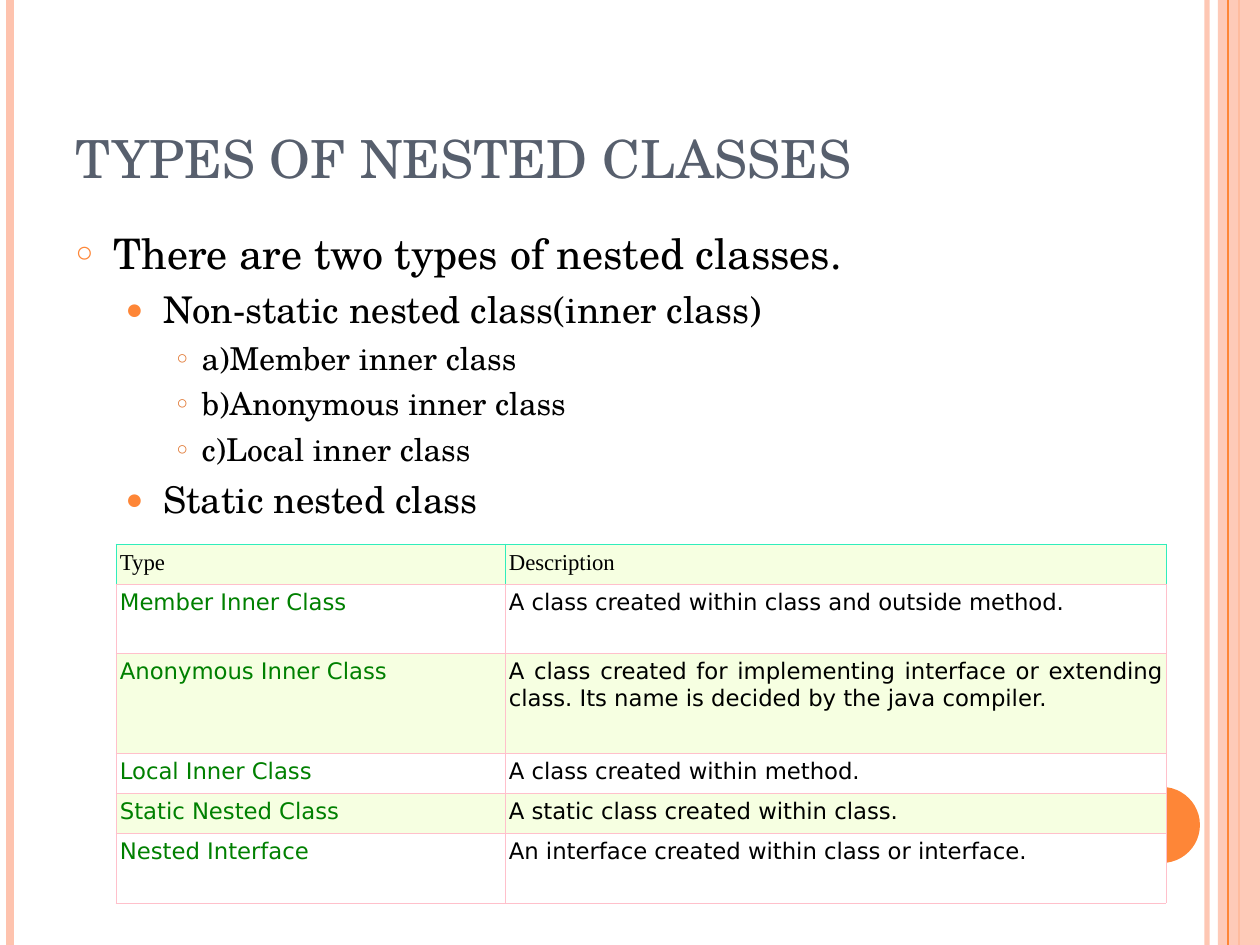
from lxml.etree import SubElement
from pptx import Presentation
from pptx.dml.color import RGBColor
from pptx.enum.shapes import MSO_CONNECTOR, MSO_SHAPE
from pptx.enum.text import MSO_ANCHOR, MSO_AUTO_SIZE, PP_ALIGN
from pptx.oxml import parse_xml
from pptx.oxml.ns import nsdecls, qn
from pptx.util import Emu, Pt

EMU_PER_PX = 914400 / 126
WIDTH, HEIGHT = 1260, 945
ORANGE, PEACH, SLATE = "FE8637", "FEC3AE", "575F6D"
BLACK, WHITE, GREEN = "000000", "FFFFFF", "008000"
LIME, PINK, TEAL = "F6FFE1", "FFC0CB", "30EDBC"
SERIF, SANS, HEADER_FONT = "TeX Gyre Schola", "DejaVu Sans", "Times New Roman"

# level: (size, space before, text left, hanging, bullet, bullet colour, bullet %)
LEVELS = [
    (24, 6, 38, 38, "○", ORANGE, 70),
    (21, 5.2, 88, 38, "●", ORANGE, 80),
    (18, 4.5, 126, 25, "○", "E0752F", 60),
]
OUTLINE = [
    (0, "There are two types of nested classes."),
    (1, "Non-static nested class(inner class)"),
    (2, "a)Member inner class"),
    (2, "b)Anonymous inner class"),
    (2, "c)Local inner class"),
    (1, "Static nested class"),
]
CLASS_TYPES = [
    (40, "Type", "Description"),
    (69, "Member Inner Class", "A class created within class and outside method."),
    (100, "Anonymous Inner Class",
     "A class created for implementing interface or extending class. "
     "Its name is decided by the java compiler."),
    (40, "Local Inner Class", "A class created within method."),
    (40, "Static Nested Class", "A static class created within class."),
    (70, "Nested Interface", "An interface created within class or interface."),
]


def px(length):
    return Emu(round(length * EMU_PER_PX))


def rgb(colour):
    return RGBColor.from_string(colour)


def format_runs(paragraph, size, font, colour):
    for run in paragraph.runs:
        run.font.size = Pt(size)
        run.font.name = font
        run.font.color.rgb = rgb(colour)


def set_alpha(element, percent):
    """Make every solid colour inside the element partly transparent."""
    for colour in element.iter(qn("a:srgbClr")):
        SubElement(colour, qn("a:alpha"), val=str(percent * 1000))


def add_stripe(slide, x, colour, weight, opacity=100):
    """Draw a vertical line over the full slide height."""
    stripe = slide.shapes.add_connector(
        MSO_CONNECTOR.STRAIGHT, px(x), 0, px(x), px(HEIGHT))
    stripe.line.color.rgb = rgb(colour)
    stripe.line.width = Pt(weight)
    properties = stripe.element.spPr
    if opacity < 100:
        set_alpha(properties, opacity)
    SubElement(properties, qn("a:effectLst"))


def add_block(slide, preset, box, colour, opacity=100):
    block = slide.shapes.add_shape(preset, *map(px, box))
    block.shadow.inherit = False
    block.fill.solid()
    block.fill.fore_color.rgb = rgb(colour)
    block.line.fill.background()
    if opacity < 100:
        set_alpha(block.element.spPr, opacity)


def add_decoration(slide):
    add_stripe(slide, 1207, PEACH, 3, 93)
    add_stripe(slide, 10, PEACH, 4.5)
    add_stripe(slide, 1239, ORANGE, 1.5)
    add_block(slide, MSO_SHAPE.RECTANGLE, (1218, 0, WIDTH - 1218, HEIGHT), PEACH, 87)
    add_stripe(slide, 1228, ORANGE, 0.75)
    add_block(slide, MSO_SHAPE.OVAL, (1124, 787, 76, 76), ORANGE)


def place(placeholder, box, anchor):
    placeholder.left, placeholder.top, placeholder.width, placeholder.height = map(px, box)
    frame = placeholder.text_frame
    frame.word_wrap = True
    frame.auto_size = MSO_AUTO_SIZE.NONE
    frame.vertical_anchor = anchor
    return frame


def fill_title(title):
    frame = place(title, (63, 38, 1029, 157), MSO_ANCHOR.BOTTOM)
    frame.text = "TYPES OF NESTED CLASSES"
    heading = frame.paragraphs[0]
    heading.alignment = PP_ALIGN.LEFT
    format_runs(heading, 30, SERIF, SLATE)


def set_bullet(paragraph, left, hanging, bullet, colour, percent):
    properties = paragraph._p.get_or_add_pPr()
    properties.set("marL", str(px(left)))
    properties.set("indent", str(-px(hanging)))
    bullet_colour = SubElement(properties, qn("a:buClr"))
    SubElement(bullet_colour, qn("a:srgbClr"), val=colour)
    SubElement(properties, qn("a:buSzPct"), val=str(percent * 1000))
    SubElement(properties, qn("a:buChar"), char=bullet)


def fill_outline(body):
    frame = place(body, (63, 221, 1029, 672), MSO_ANCHOR.TOP)
    frame.text = "\n".join(text for _, text in OUTLINE)
    for paragraph, (level, _) in zip(frame.paragraphs, OUTLINE):
        size, space_before, *bullet = LEVELS[level]
        paragraph.level = level
        paragraph.space_before = Pt(space_before)
        set_bullet(paragraph, *bullet)
        format_runs(paragraph, size, SERIF, BLACK)


def set_borders(cell, edge_colours):
    """Give the cell thin borders, in the order left, right, top, bottom."""
    properties = cell._tc.get_or_add_tcPr()
    for position, (edge, colour) in enumerate(zip("LRTB", edge_colours)):
        properties.insert(position, parse_xml(
            f'<a:ln{edge} {nsdecls("a")} w="{Pt(0.34)}"><a:solidFill>'
            f'<a:srgbClr val="{colour}"/></a:solidFill></a:ln{edge}>'))


def fill_cell(cell, text, is_header, is_name, background):
    cell.text = text
    cell.margin_left = cell.margin_right = px(4)
    cell.margin_top = cell.margin_bottom = px(6)
    cell.fill.solid()
    cell.fill.fore_color.rgb = rgb(background)
    paragraph = cell.text_frame.paragraphs[0]
    if is_header:
        format_runs(paragraph, 13, HEADER_FONT, BLACK)
        set_borders(cell, (TEAL, TEAL, TEAL, PINK))
    else:
        paragraph.alignment = PP_ALIGN.JUSTIFY
        format_runs(paragraph, 13, SANS, GREEN if is_name else BLACK)
        set_borders(cell, [PINK] * 4)


def add_class_table(slide):
    widths = (389, 661)
    total_height = sum(height for height, *_ in CLASS_TYPES)
    table = slide.shapes.add_table(
        len(CLASS_TYPES), len(widths),
        px(116), px(544), px(sum(widths)), px(total_height)).table
    for column, width in zip(table.columns, widths):
        column.width = px(width)
    for row_index, (height, *texts) in enumerate(CLASS_TYPES):
        table.rows[row_index].height = px(height)
        background = WHITE if row_index % 2 else LIME
        for column_index, text in enumerate(texts):
            fill_cell(table.cell(row_index, column_index), text,
                      row_index == 0, column_index == 0, background)


def main():
    presentation = Presentation()
    presentation.slide_width, presentation.slide_height = px(WIDTH), px(HEIGHT)
    slide = presentation.slides.add_slide(presentation.slide_layouts[1])
    add_decoration(slide)
    fill_title(slide.shapes.title)
    fill_outline(slide.placeholders[1])
    add_class_table(slide)
    presentation.save("out.pptx")


if __name__ == "__main__":
    main()
